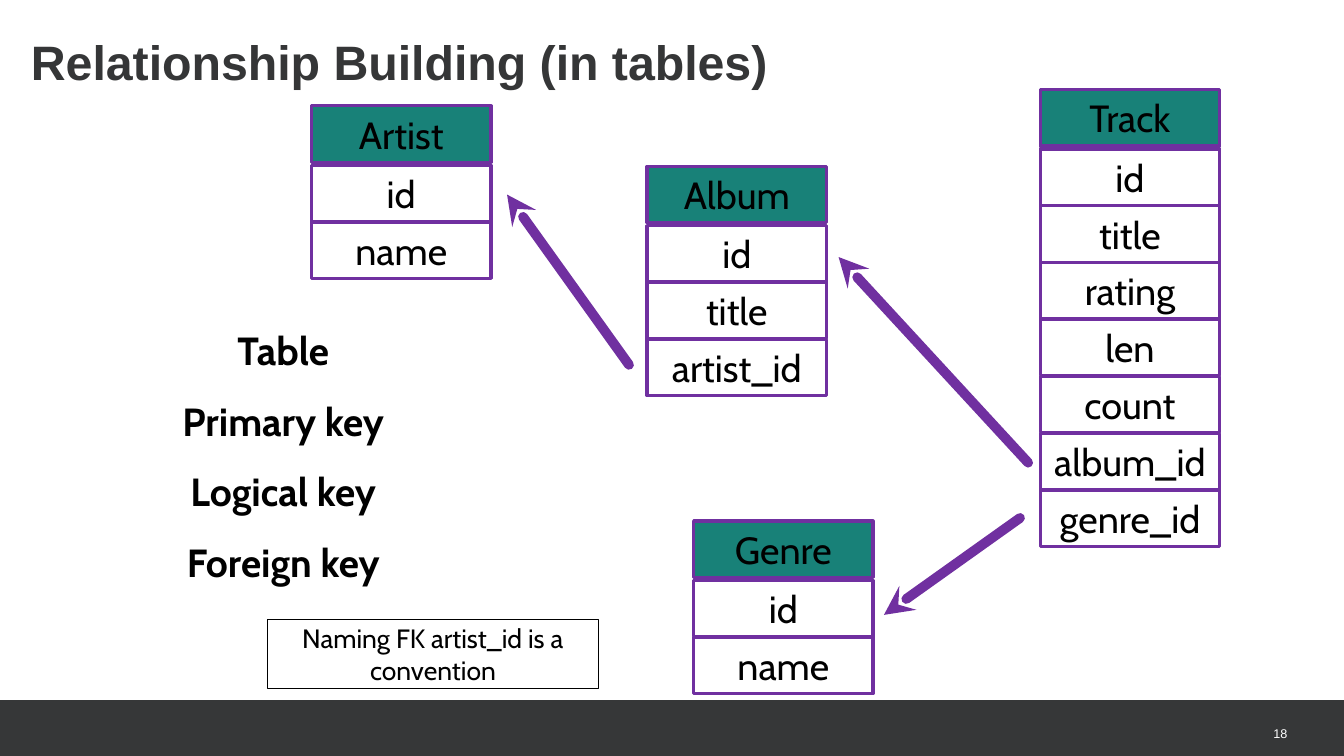
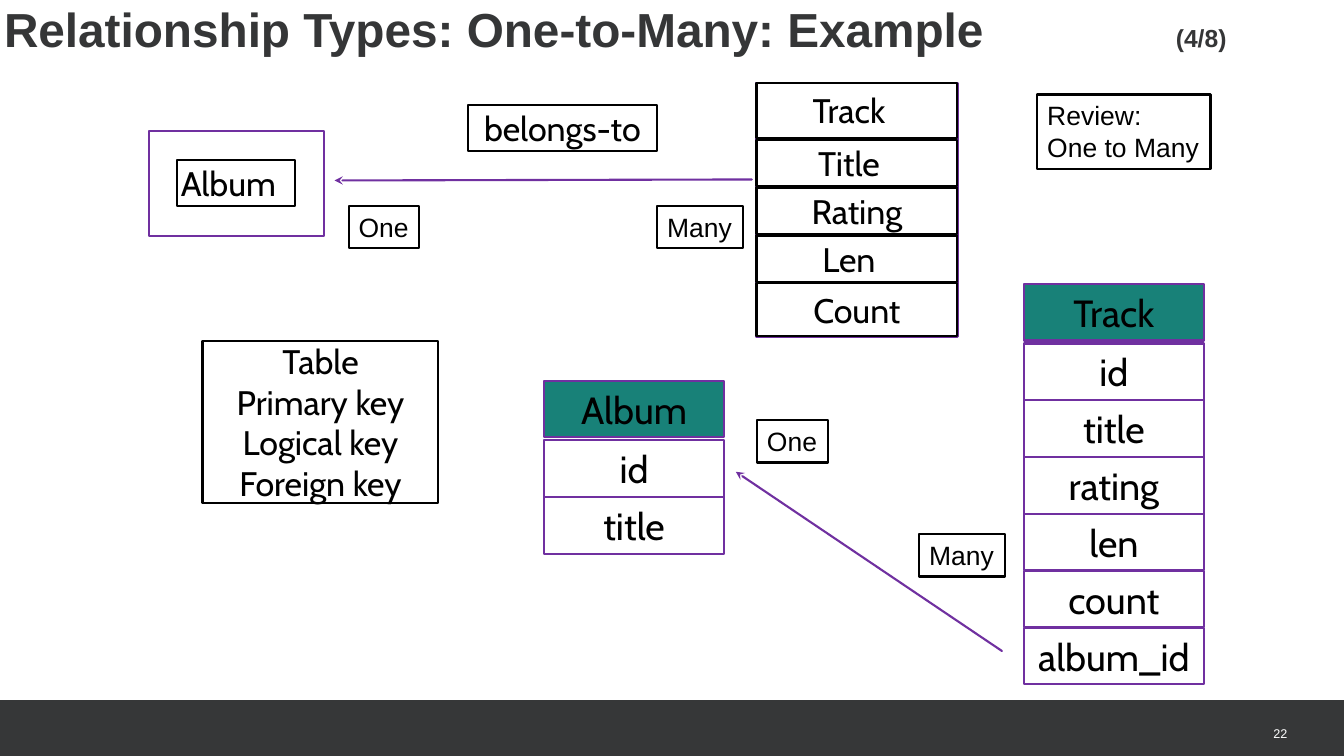
from lxml.etree import SubElement
from pptx import Presentation
from pptx.dml.color import RGBColor
from pptx.enum.shapes import MSO_CONNECTOR as Connector, MSO_SHAPE as Shape
from pptx.enum.text import MSO_ANCHOR as Anchor, PP_ALIGN as Align
from pptx.oxml.ns import qn
from pptx.util import Pt

COLORS = {"ink": "000000", "band": "363738", "title": "353637",
          "header": "188178", "purple": "7030A0", "white": "FFFFFF"}
BODY, SANS = "Cabin", "Arial"
WIDTH, HEIGHT = 960, 540
CELL_WIDTH, CELL_HEIGHT = 128.2, 40.3
HEADER_STEP, ROW_STEP = 42.4, 40.6
KEYS = ["Table", "Primary key", "Logical key", "Foreign key"]


def color(name):
    return RGBColor.from_string(COLORS[name])


class Deck:
    """Holds the shared style and the current slide."""

    def __init__(self):
        self.deck = Presentation()
        self.deck.slide_width, self.deck.slide_height = Pt(WIDTH), Pt(HEIGHT)
        self.page = None

    def new_page(self, number):
        self.page = self.deck.slides.add_slide(self.deck.slide_layouts[6])
        self.box(0, 500, WIDTH, 40, fill="band")
        self.text(880, 500, 39.6, 39.6, [number], 9, SANS, ink="white",
                  align=Align.RIGHT, spacing=Pt(19))

    def set_text(self, shape, lines, size, font=BODY, ink="ink", bold=False,
                 align=Align.CENTER, anchor=Anchor.MIDDLE, spacing=None,
                 insets=(0, 0, 0, 0), wrap=True):
        frame = shape.text_frame
        frame.word_wrap, frame.vertical_anchor = wrap, anchor
        frame.margin_left, frame.margin_top, frame.margin_right, frame.margin_bottom = map(Pt, insets)
        for index, line in enumerate(lines):
            para = frame.add_paragraph() if index else frame.paragraphs[0]
            para.alignment = align
            if spacing:
                para.line_spacing = spacing
            para.add_run().text = line
            para.font.name, para.font.size = font, Pt(size)
            para.font.bold, para.font.color.rgb = bold, color(ink)

    def text(self, left, top, width, height, lines, size, font=BODY, **style):
        box = self.page.shapes.add_textbox(Pt(left), Pt(top), Pt(width), Pt(height))
        self.set_text(box, lines, size, font, **style)
        return box

    def box(self, left, top, width, height, lines=(), size=24.3, fill=None,
            line=None, weight=1.5, **style):
        box = self.page.shapes.add_shape(
            Shape.RECTANGLE, Pt(left), Pt(top), Pt(width), Pt(height))
        box.shadow.inherit = False
        if fill:
            box.fill.solid()
            box.fill.fore_color.rgb = color(fill)
        else:
            box.fill.background()
        if line:
            box.line.color.rgb, box.line.width = color(line), Pt(weight)
        else:
            box.line.fill.background()
        if lines:
            self.set_text(box, lines, size, **style)

    def entity(self, left, top, name, fields, weight):
        """A database table: coloured header above a stack of fields."""
        for index, label in enumerate([name, *fields]):
            offset = HEADER_STEP + ROW_STEP * (index - 1) if index else 0
            self.box(left, top + offset, CELL_WIDTH, CELL_HEIGHT, [label], 27,
                     fill=None if index else "header", line="purple", weight=weight)

    def label(self, left, top, width, lines, height=30.2):
        self.box(left, top, width, height, lines, 18.9, line="ink", font=SANS,
                 align=Align.LEFT, anchor=Anchor.TOP,
                 insets=(7.2, 3.6, 7.2, 3.6), wrap=False)

    def arrow(self, tip, tail, weight):
        arrow = self.page.shapes.add_connector(Connector.STRAIGHT, *map(Pt, tip + tail))
        arrow.line.color.rgb, arrow.line.width = color("purple"), Pt(weight)
        properties = arrow.element.spPr
        stroke = properties.find(qn("a:ln"))
        stroke.set("cap", "rnd")
        SubElement(stroke, qn("a:headEnd"), type="stealth")
        SubElement(properties, qn("a:effectLst"))

    def title(self, left, top, width, height, words, size, mark=None, **style):
        box = self.page.shapes.add_textbox(Pt(left), Pt(top), Pt(width), Pt(height))
        para = box.text_frame.paragraphs[0]
        if mark:
            stops = SubElement(para._p.get_or_add_pPr(), qn("a:tabLst"))
            SubElement(stops, qn("a:tab"), pos=str(Pt(837)), algn="l")
        self.set_text(box, [words], size, SANS, ink="title", bold=True,
                      align=Align.LEFT, anchor=Anchor.TOP, **style)
        if mark:
            span = para.add_run()
            span.text, span.font.size = "\t" + mark, Pt(17.6)


def relationship_building(deck):
    deck.new_page("18")
    deck.title(15, 19.4, 713.5, 49, "Relationship Building (in tables)", 34.5,
               insets=(7.2, 3.6, 7.2, 3.6))

    # Tables
    for left, top, name, fields in [
        (222.5, 75.6, "Artist", ["id", "name"]),
        (462.2, 118.8, "Album", ["id", "title", "artist_id"]),
        (743, 64, "Track", ["id", "title", "rating", "len", "count", "album_id", "genre_id"]),
        (495.4, 372.2, "Genre", ["id", "name"]),
    ]:
        deck.entity(left, top, name, fields, 2.25)

    # Foreign keys
    for tip, tail in [((599, 183.6), (734.4, 330.5)),
                      ((631.4, 439.2), (728.6, 370)),
                      ((362.2, 139), (449.3, 260.6))]:
        deck.arrow(tip, tail, 7)

    # Legend and note
    deck.text(108, 259.2, 188.6, 116, KEYS, 28, bold=True, spacing=1.5)
    deck.box(190.8, 442.8, 237, 49, ["Naming FK artist_id is a convention"], 18.9,
             line="ink", weight=0.75)


def one_to_many(deck):
    deck.new_page("22")
    deck.title(2.9, 8.5, 933, 96, "Relationship Types: One-to-Many: Example", 34.1,
               mark="(4/8)", spacing=Pt(32.5))

    # Conceptual model
    nudge = (0, 0, 11.4, 0)
    deck.box(106.6, 93.6, 124.6, 75, line="purple")
    deck.box(126.7, 114.5, 84.2, 33, ["Album"], line="ink", insets=nudge)
    deck.box(334, 75, 135.4, 33, ["belongs-to"], line="ink")
    deck.box(540, 59, 144, 181.4, line="purple")
    top = 59
    for name, height, insets in [("Track", 39.6, nudge), ("Title", 33, nudge),
                                 ("Rating", 33, (0, 0, 0, 0)), ("Len", 33, nudge),
                                 ("Count", 37.4, (0, 0, 0, 0))]:
        deck.box(540.4, top, 143.4, height, [name], line="ink", insets=insets)
        top += height + 1.2
    deck.arrow((239, 128.9), (537, 128.2), 1.5)

    # Tables
    deck.entity(388.8, 272.2, "Album", ["id", "title"], 1.5)
    deck.entity(731.5, 203, "Track",
                ["id", "title", "rating", "len", "count", "album_id"], 1.5)
    deck.arrow((525.6, 337), (715.7, 465), 1.5)
    deck.box(144.7, 243.4, 168.5, 116, KEYS, line="ink")

    # Cardinality labels
    for left, top in [(249, 147), (540.7, 300.2)]:
        deck.label(left, top, 50.6, ["One"])
    for left, top in [(469.4, 147), (656.6, 381.6)]:
        deck.label(left, top, 61.2, ["Many"])
    deck.label(740.9, 67.5, 123.8, ["Review:", "One to Many"], 53.3)


def main():
    deck = Deck()
    relationship_building(deck)
    one_to_many(deck)
    deck.deck.save("out.pptx")


if __name__ == "__main__":
    main()
